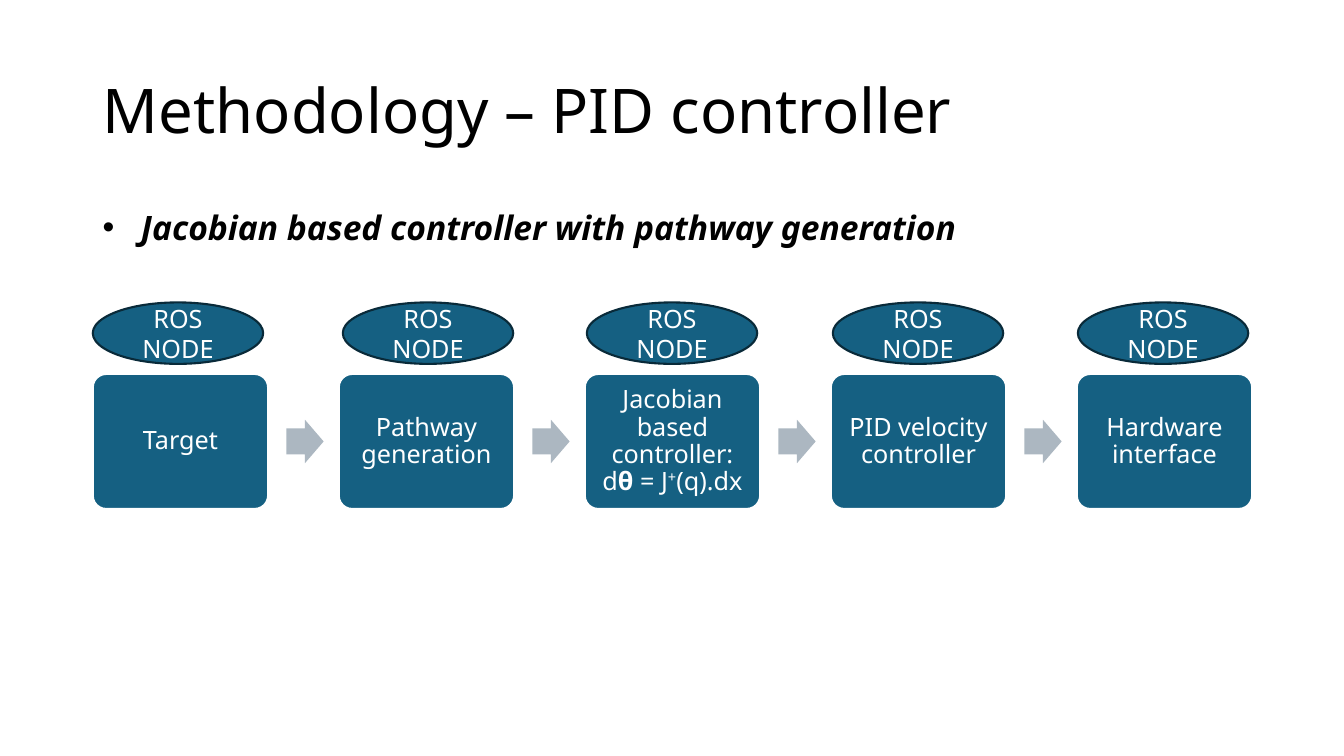
from lxml import etree
from pptx import Presentation
from pptx.dml.color import RGBColor
from pptx.enum.shapes import MSO_SHAPE
from pptx.enum.text import MSO_ANCHOR, PP_ALIGN
from pptx.oxml.ns import qn
from pptx.util import Inches, Pt

ROUND, ARROW, OVAL = MSO_SHAPE.ROUNDED_RECTANGLE, MSO_SHAPE.RIGHT_ARROW, MSO_SHAPE.OVAL
LEFT, CENTER = PP_ALIGN.LEFT, PP_ALIGN.CENTER
MIDDLE, TOP = MSO_ANCHOR.MIDDLE, MSO_ANCHOR.TOP
FONT = "Noto Sans"
BLUE, NAVY, GREY, WHITE, BLACK = "156082", "092A39", "ACB7C1", "FFFFFF", "000000"
MARGIN, WIDTH = 0.92, 11.5
STEP_W, STEP_H, PITCH = 1.74, 1.34, 2.44
ARROW_W, ARROW_H, ARROW_DX = 0.37, 0.43, 1.92
NODE_W, NODE_H = 1.69, 0.61

JACOBIAN = [("Jacobian based controller:", {}), ("\n", {}), ("d", {}), ("θ", {"bold": True}),
            (" = J", {}), ("+", {"baseline": 30000}), ("(q).dx", {})]
STEPS = [("Target", 0), ("Pathway generation", 0.04), (JACOBIAN, 0.02),
         ("PID velocity controller", 0.02), ("Hardware interface", 0.01)]


def color(value):
    return RGBColor.from_string(value)


def inches(box):
    return [Inches(v) for v in box]


def write(tf, text, size=18, fill=WHITE, align=CENTER, anchor=MIDDLE, spacing=None,
          bold=False, italic=False, inset=None):
    tf.word_wrap = True
    tf.vertical_anchor = anchor
    if inset is not None:
        tf.margin_left = tf.margin_right = tf.margin_top = tf.margin_bottom = Inches(inset)
    p = tf.paragraphs[0]
    p.alignment = align
    if spacing:
        p.line_spacing = spacing
    for part, extra in [(text, {})] if isinstance(text, str) else text:
        if part == "\n":
            p.add_line_break()
            continue
        r = p.add_run()
        r.text = part
        r.font.name, r.font.size = FONT, Pt(size)
        r.font.color.rgb = color(fill)
        r.font.bold, r.font.italic = extra.get("bold", bold), italic
        if "baseline" in extra:
            r._r.get_or_add_rPr().set("baseline", str(extra["baseline"]))
    return p


def add_shape(shapes, kind, box, fill, line=None, adj=()):
    sp = shapes.add_shape(kind, *inches(box))
    sp.shadow.inherit = False
    sp.fill.solid()
    sp.fill.fore_color.rgb = color(fill)
    if line:
        sp.line.color.rgb = color(line)
        sp.line.width = Pt(1.5)
    else:
        sp.line.fill.background()
    for i, value in enumerate(adj):
        sp.adjustments[i] = value
    return sp


def add_title(s, box, text):
    title = s.shapes.title
    title.left, title.top, title.width, title.height = inches(box)
    write(title.text_frame, text, size=44, fill=BLACK, align=LEFT, spacing=0.9)


def add_bullet(s, box, text):
    tf = s.shapes.add_textbox(*inches(box)).text_frame
    p = write(tf, text, size=24, fill=BLACK, align=LEFT, anchor=TOP, bold=True, italic=True)
    pPr = p._p.get_or_add_pPr()
    pPr.set("marL", str(Inches(0.38)))
    pPr.set("indent", str(Inches(-0.38)))
    etree.SubElement(pPr, qn("a:buFont")).set("typeface", "Arial")
    etree.SubElement(pPr, qn("a:buChar")).set("char", "•")


def add_flow(s, left, top):
    shapes = s.shapes.add_group_shape().shapes
    for i, (text, _) in enumerate(STEPS):
        x = left + i * PITCH
        sp = add_shape(shapes, ROUND, (x, top, STEP_W, STEP_H), BLUE, WHITE, (0.1,))
        write(sp.text_frame, text, spacing=0.9, inset=0.07)
        if i < len(STEPS) - 1:
            y = top + (STEP_H - ARROW_H) / 2
            add_shape(shapes, ARROW, (x + ARROW_DX, y, ARROW_W, ARROW_H), GREY, adj=(0.6, 0.5))


def add_nodes(s, left, top):
    for i, (_, shift) in enumerate(STEPS):
        box = (left + i * PITCH + shift, top, NODE_W, NODE_H)
        sp = add_shape(s.shapes, OVAL, box, BLUE, NAVY)
        write(sp.text_frame, "ROS NODE")


def main():
    prs = Presentation()
    prs.slide_width, prs.slide_height = Inches(13.33), Inches(7.5)
    s = prs.slides.add_slide(prs.slide_layouts[5])
    add_title(s, (MARGIN, 0.4, WIDTH, 1.45), "Methodology – PID controller")
    add_flow(s, MARGIN, 3.71)
    add_bullet(s, (MARGIN, 2, WIDTH, 0.5), "Jacobian based controller with pathway generation")
    add_nodes(s, MARGIN, 3)
    prs.save("out.pptx")


if __name__ == "__main__":
    main()
